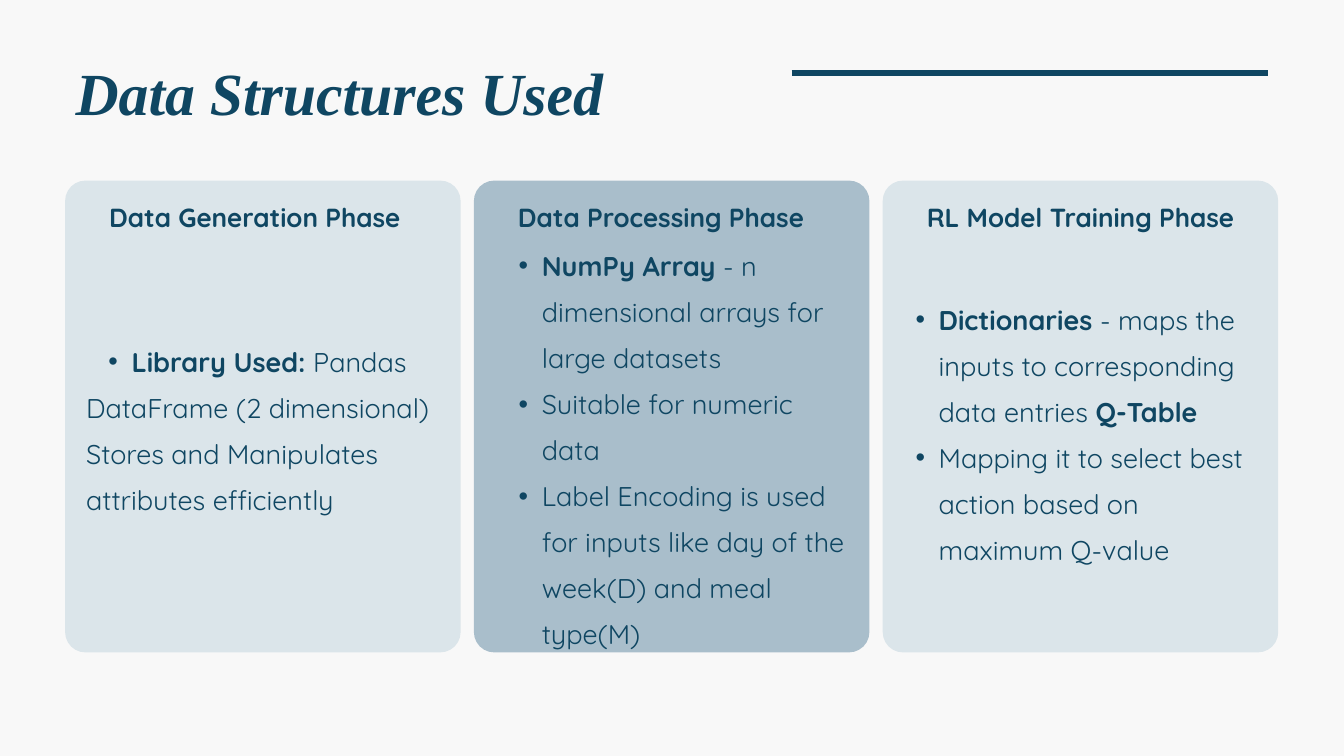
from dataclasses import dataclass

from lxml import etree
from pptx import Presentation
from pptx import util as u
from pptx.dml.color import RGBColor
from pptx.enum import shapes, text
from pptx.oxml.ns import qn


@dataclass(frozen=True)
class Theme:
    """Colours, fonts and type sizes of the slide."""
    paper: str = "F8F8F8"
    ink: str = "0F4662"
    light: str = "DBE5EA"
    strong: str = "A9BECB"
    title_font: str = "Times New Roman"
    body_font: str = "Quicksand"
    title_size: float = 64
    heading_size: float = 28
    body_size: float = 29
    title_leading: float = 89.6
    heading_leading: float = 39.2
    body_leading: float = 49.3
    rule_width: float = 6


THEME = Theme()
EMU_PER_PX = 9525
SLIDE_SIZE = (1920, 1080)
CARD_LEFT, CARD_TOP, CARD_PITCH = 93, 258, 584
CARD_SIZE = (565, 674)
CARD_RADIUS = 29
BULLET_INDENT, BULLET_HANG = 65, 33

PHASES = [
    {
        "heading": "Data Generation Phase",
        "fill": THEME.light,
        "body_box": (30, 216, 536, 255),
        "points": [
            (True, [("Library Used:", True), (" Pandas", False)]),
            (False, [("DataFrame (2 dimensional)", False)]),
            (False, [("Stores and Manipulates attributes efficiently", False)]),
        ],
    },
    {
        "heading": "Data Processing Phase",
        "fill": THEME.strong,
        "body_box": (32, 79, 501, 581),
        "points": [
            (True, [("NumPy Array", True),
                    (" - n dimensional arrays for large datasets", False)]),
            (True, [("Suitable for numeric data", False)]),
            (True, [("Label Encoding is used for inputs like day of the "
                     "week(D) and meal type(M)", False)]),
        ],
    },
    {
        "heading": "RL Model Training Phase",
        "fill": THEME.light,
        "body_box": (15, 156, 536, 386),
        "points": [
            (True, [("Dictionaries ", True),
                    ("- maps the inputs to corresponding data entries ", False),
                    ("Q-Table", True)]),
            (True, [("Mapping it to select best action based on maximum Q-value",
                     False)]),
        ],
    },
]


def px(*lengths):
    """Turn pixel lengths into EMU."""
    return [u.Emu(length * EMU_PER_PX) for length in lengths]


def colour(value):
    """Turn a hex string into a colour."""
    return RGBColor.from_string(value)


def add_bullet(paragraph):
    """Give a paragraph a bullet with a hanging indent."""
    paragraph.level = 1
    properties = paragraph._p.get_or_add_pPr()
    indent, hang = px(BULLET_INDENT, BULLET_HANG)
    properties.set("marL", str(indent))
    properties.set("indent", str(-hang))
    etree.SubElement(properties, qn("a:buFont")).set("typeface", "Arial")
    etree.SubElement(properties, qn("a:buChar")).set("char", "•")


def add_text(slide, box, paragraphs, *, font, size, leading, italic=False):
    """Place paragraphs of (bulleted, [(words, bold), ...]) in a box."""
    frame = slide.shapes.add_textbox(*px(*box)).text_frame
    frame.word_wrap = True
    frame.auto_size = text.MSO_AUTO_SIZE.SHAPE_TO_FIT_TEXT
    frame.margin_left = frame.margin_right = 0
    frame.margin_top = frame.margin_bottom = 0
    for index, (bulleted, runs) in enumerate(paragraphs):
        paragraph = frame.add_paragraph() if index else frame.paragraphs[0]
        paragraph.alignment = text.PP_ALIGN.LEFT
        paragraph.line_spacing = u.Pt(leading)
        if bulleted:
            add_bullet(paragraph)
        for words, bold in runs:
            run = paragraph.add_run()
            run.text = words
            run.font.name = font
            run.font.size = u.Pt(size)
            run.font.bold = bold
            run.font.italic = italic
            run.font.color.rgb = colour(THEME.ink)


def add_header(slide, left, top):
    """Draw the slide title and the rule to its right."""
    add_text(slide, (left, top, 852, 114),
             [(False, [("Data Structures Used", True)])],
             font=THEME.title_font, size=THEME.title_size,
             leading=THEME.title_leading, italic=True)
    rule_y = top + 41
    rule = slide.shapes.add_connector(
        shapes.MSO_CONNECTOR.STRAIGHT,
        *px(left + 1023, rule_y, left + 1704, rule_y))
    rule.line.color.rgb = colour(THEME.ink)
    rule.line.width = u.Pt(THEME.rule_width)
    etree.SubElement(rule._element.spPr, qn("a:effectLst"))


def add_phase_card(slide, left, top, phase):
    """Draw one phase as a rounded card with a heading and its points."""
    card = slide.shapes.add_shape(shapes.MSO_SHAPE.ROUNDED_RECTANGLE,
                                  *px(left, top, *CARD_SIZE))
    card.adjustments[0] = CARD_RADIUS / min(CARD_SIZE)
    card.shadow.inherit = False
    card.fill.solid()
    card.fill.fore_color.rgb = colour(phase["fill"])
    card.line.fill.background()
    add_text(slide, (left + 63, top + 22, 536, 52),
             [(False, [(phase["heading"], True)])],
             font=THEME.body_font, size=THEME.heading_size,
             leading=THEME.heading_leading)
    x, y, width, height = phase["body_box"]
    add_text(slide, (left + x, top + y, width, height), phase["points"],
             font=THEME.body_font, size=THEME.body_size,
             leading=THEME.body_leading)


def main():
    """Build and save the slide."""
    deck = Presentation()
    deck.slide_width, deck.slide_height = px(*SLIDE_SIZE)
    slide = deck.slides.add_slide(deck.slide_layouts[6])
    slide.background.fill.solid()
    slide.background.fill.fore_color.rgb = colour(THEME.paper)
    add_header(slide, 108, 63)
    for column, phase in enumerate(PHASES):
        add_phase_card(slide, CARD_LEFT + column * CARD_PITCH, CARD_TOP, phase)
    deck.save("out.pptx")


if __name__ == "__main__":
    main()
